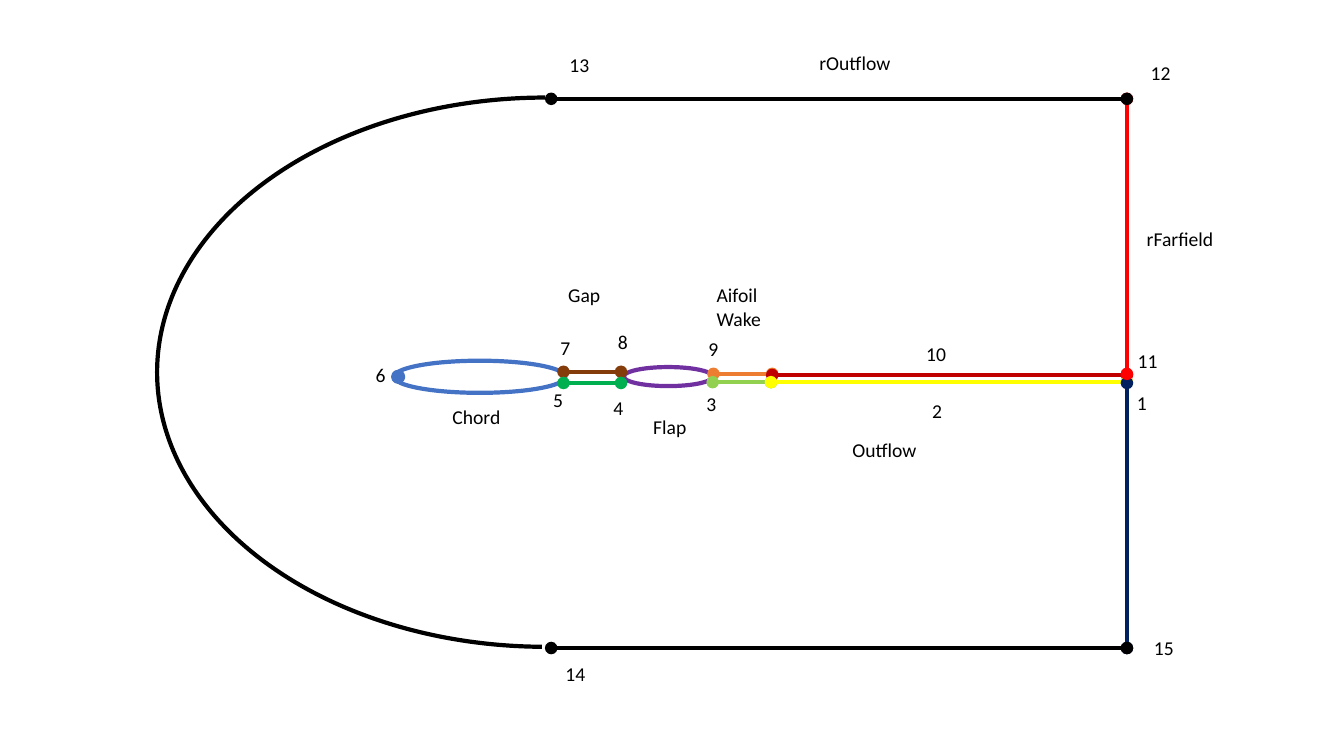
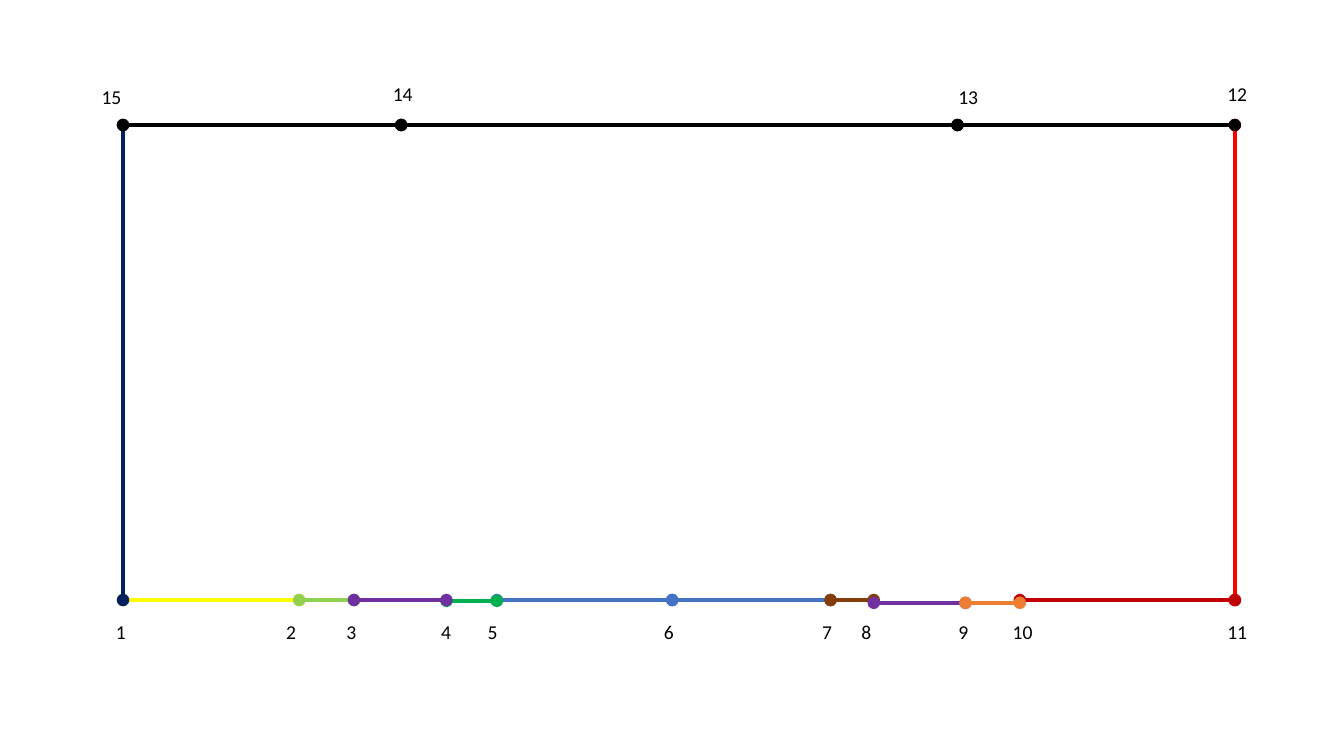
from dataclasses import dataclass

from lxml.etree import SubElement
from pptx import Presentation
from pptx.dml.color import RGBColor
from pptx.enum.shapes import MSO_CONNECTOR, MSO_SHAPE as Preset
from pptx.enum.text import MSO_ANCHOR, MSO_AUTO_SIZE as AutoSize, PP_ALIGN
from pptx.oxml.ns import qn
from pptx.shapes.autoshape import Shape
from pptx.slide import Slide
from pptx.util import Cm, Pt

COLORS = {
    "black": "000000",
    "white": "FFFFFF",
    "chord": "4472C4",
    "flap": "7030A0",
    "upper_gap": "843C0B",
    "lower_gap": "00B050",
    "upper_wake": "ED7D31",
    "lower_wake": "92D050",
    "upper_outflow": "C00000",
    "lower_outflow": "FFFF00",
    "lower_farfield": "002060",
    "upper_farfield": "FF0000",
}
FRAME_FORMAT = {
    "word_wrap": True,
    "auto_size": AutoSize.SHAPE_TO_FIT_TEXT,
    "vertical_anchor": MSO_ANCHOR.TOP,
}
FONT_FORMAT = {"name": "Calibri", "size": Pt(14)}
STROKE = Pt(3)
LABEL_HEIGHT = 0.86
DIGIT_WIDTH = 0.89
NUMBER_WIDTH = 1.07


@dataclass(frozen=True)
class Edge:
    color: str
    x1: float
    y1: float
    x2: float
    y2: float


@dataclass(frozen=True)
class Outline:
    preset: Preset
    left: float
    top: float
    width: float
    height: float
    line: str
    fill: str = ""
    angles: tuple[float, ...] = ()


@dataclass(frozen=True)
class Label:
    text: str
    left: float
    top: float
    width: float = 0
    height: float = LABEL_HEIGHT


FAR_X, NOSE_X = 28.4, 13.89
TOP_Y, BOTTOM_Y = 2.49, 16.33

PROFILES = [
    Outline(Preset.OVAL, 9.93, 9.09, 4.32, 0.81, "chord", "white"),
    Outline(Preset.OVAL, 15.72, 9.25, 2.24, 0.48, "flap", "white"),
]
MESH_EDGES = [
    Edge("upper_gap", 14.2, 9.37, 15.65, 9.37),
    Edge("lower_gap", 14.2, 9.65, 15.65, 9.65),
    Edge("upper_wake", 17.98, 9.42, 19.46, 9.42),
    Edge("lower_wake", 17.96, 9.63, 19.43, 9.63),
    Edge("upper_outflow", 19.46, 9.45, FAR_X, 9.45),
    Edge("lower_outflow", 19.43, 9.63, FAR_X, 9.63),
    Edge("lower_farfield", FAR_X, 9.65, FAR_X, BOTTOM_Y),
    Edge("upper_farfield", FAR_X, TOP_Y, FAR_X, 9.42),
    Edge("black", FAR_X, BOTTOM_Y, NOSE_X, BOTTOM_Y),
    Edge("black", FAR_X, TOP_Y, NOSE_X, TOP_Y),
]
INLET_AND_NOSE = [
    Outline(Preset.ARC, 3.96, 2.46, 19.56, 13.84, "black", angles=(54.4, 162)),
    Outline(Preset.OVAL, 9.91, 9.37, 0.25, 0.25, "chord", "chord"),
]
MESH_LABELS = [
    Label("1", 28.4, 9.73),
    Label("2", 23.24, 9.93),
    Label("3", 17.55, 9.75),
    Label("4", 15.21, 9.86),
    Label("5", 13.69, 9.65),
    Label("6", 9.22, 9.02),
    Label("7", 13.87, 8.33),
    Label("8", 15.32, 8.2),
    Label("9", 17.6, 8.36),
    Label("10", 23.09, 8.48),
    Label("11", 28.42, 8.66),
    Label("12", 28.75, 1.42),
    Label("13", 14.1, 1.22),
    Label("14", 14.0, 16.56),
    Label("15", 28.83, 15.9),
    Label("rFarfield", 28.65, 5.59, 2.59),
    Label("rOutflow", 20.4, 1.17, 2.59),
    Label("Chord", 11.15, 10.08, 1.96),
    Label("Flap", 16.21, 10.34, 1.96),
    Label("Gap", 14.07, 7.01, 1.96),
    Label("Aifoil Wake", 17.81, 7.01, 1.96, 1.45),
    Label("Outflow", 21.23, 10.92, 2.29),
]

ROOF_Y, FLOOR_Y, GREEN_Y, LOW_Y = 3.15, 15.12, 15.14, 15.19
NODE_X = {
    1: 3.1, 2: 7.54, 3: 8.92, 4: 11.25, 5: 12.52, 6: 16.94, 7: 20.93, 8: 22.02,
    9: 24.33, 10: 25.7, 11: 31.12, 12: 31.12, 13: 24.13, 14: 10.11, 15: 3.1,
}
UNROLLED_SPANS = [
    ("lower_outflow", 1, 2, FLOOR_Y, FLOOR_Y),
    ("lower_farfield", 15, 1, ROOF_Y, FLOOR_Y),
    ("upper_farfield", 12, 11, ROOF_Y, FLOOR_Y),
    ("black", 15, 14, ROOF_Y, ROOF_Y),
    ("black", 13, 12, ROOF_Y, ROOF_Y),
    ("black", 14, 13, ROOF_Y, ROOF_Y),
    ("chord", 6, 7, FLOOR_Y, FLOOR_Y),
    ("chord", 5, 6, FLOOR_Y, FLOOR_Y),
    ("lower_wake", 2, 3, FLOOR_Y, FLOOR_Y),
    ("upper_gap", 7, 8, FLOOR_Y, FLOOR_Y),
    ("upper_outflow", 10, 11, FLOOR_Y, FLOOR_Y),
    ("lower_gap", 4, 5, GREEN_Y, GREEN_Y),
    ("flap", 3, 4, FLOOR_Y, FLOOR_Y),
    ("flap", 8, 9, LOW_Y, LOW_Y),
    ("upper_wake", 9, 10, LOW_Y, LOW_Y),
]
UNROLLED_EDGES = [
    Edge(color, NODE_X[start], y1, NODE_X[end], y2)
    for color, start, end, y1, y2 in UNROLLED_SPANS
]
FLOOR_LABEL_LEFTS = [
    2.67, 6.96, 8.48, 10.87, 12.04, 16.48, 20.47, 21.46, 23.9, 25.27, 30.68,
]
UNROLLED_LABELS = [
    Label(str(number), left, 15.49)
    for number, left in enumerate(FLOOR_LABEL_LEFTS, start=1)
] + [
    Label("12", 30.68, 1.93),
    Label("13", 23.9, 2.01),
    Label("14", 9.65, 1.93),
    Label("15", 2.31, 2.01),
]


def rgb(color: str) -> RGBColor:
    return RGBColor.from_string(COLORS[color])


def apply_format(target: object, values: dict) -> None:
    for attribute, value in values.items():
        setattr(target, attribute, value)


def draw_edge(slide: Slide, edge: Edge) -> None:
    ends = [Cm(value) for value in (edge.x1, edge.y1, edge.x2, edge.y2)]
    connector = slide.shapes.add_connector(MSO_CONNECTOR.STRAIGHT, *ends)
    connector.line.color.rgb = rgb(edge.color)
    connector.line.width = STROKE
    properties = connector.element.spPr
    stroke = properties.find(qn("a:ln"))
    for tag in ("a:headEnd", "a:tailEnd"):
        SubElement(stroke, qn(tag), type="oval")
    SubElement(properties, qn("a:effectLst"))


def draw_outline(slide: Slide, outline: Outline) -> Shape:
    box = (outline.left, outline.top, outline.width, outline.height)
    shape = slide.shapes.add_shape(outline.preset, *map(Cm, box))
    shape.shadow.inherit = False
    for index, angle in enumerate(outline.angles):
        shape.adjustments[index] = angle
    if outline.fill:
        shape.fill.solid()
        shape.fill.fore_color.rgb = rgb(outline.fill)
    else:
        shape.fill.background()
    shape.line.color.rgb = rgb(outline.line)
    shape.line.width = STROKE
    return shape


def draw_label(slide: Slide, label: Label) -> None:
    width = label.width or (DIGIT_WIDTH if len(label.text) == 1 else NUMBER_WIDTH)
    box = (label.left, label.top, width, label.height)
    frame = slide.shapes.add_textbox(*map(Cm, box)).text_frame
    apply_format(frame, FRAME_FORMAT)
    paragraph = frame.paragraphs[0]
    paragraph.alignment = PP_ALIGN.LEFT
    run = paragraph.add_run()
    run.text = label.text
    apply_format(run.font, FONT_FORMAT)
    run.font.color.rgb = rgb("black")


def draw_diagram(
    slide: Slide,
    edges: list[Edge],
    labels: list[Label],
    behind: list[Outline],
    in_front: list[Outline],
) -> None:
    for outline in behind:
        draw_outline(slide, outline)
    for edge in edges:
        draw_edge(slide, edge)
    for outline in in_front:
        draw_outline(slide, outline)
    for label in labels:
        draw_label(slide, label)


def main() -> None:
    deck = Presentation()
    deck.slide_width, deck.slide_height = Cm(33.87), Cm(19.05)
    blank = deck.slide_layouts[6]
    diagrams = [
        (MESH_EDGES, MESH_LABELS, PROFILES, INLET_AND_NOSE),
        (UNROLLED_EDGES, UNROLLED_LABELS, [], []),
    ]
    for diagram in diagrams:
        draw_diagram(deck.slides.add_slide(blank), *diagram)
    deck.save("out.pptx")


if __name__ == "__main__":
    main()
